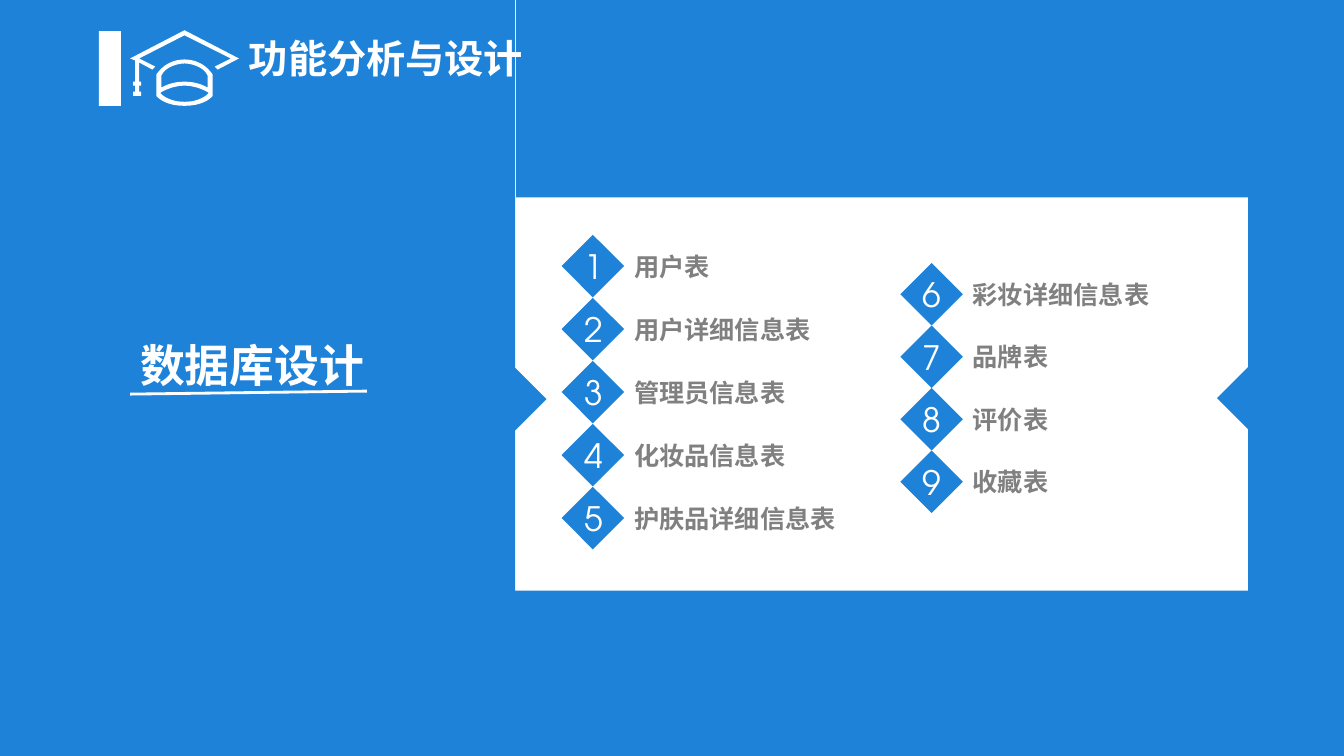
from lxml import etree
from pptx import Presentation
from pptx.dml.color import RGBColor
from pptx.enum.shapes import MSO_CONNECTOR, MSO_SHAPE
from pptx.enum.text import MSO_ANCHOR, PP_ALIGN
from pptx.oxml.ns import qn
from pptx.util import Inches, Pt

RECTANGLE, DIAMOND = MSO_SHAPE.RECTANGLE, MSO_SHAPE.DIAMOND
STRAIGHT = MSO_CONNECTOR.STRAIGHT
LEFT, CENTER, TOP = PP_ALIGN.LEFT, PP_ALIGN.CENTER, MSO_ANCHOR.TOP
COLORS = {"blue": "1E82D9", "white": "FFFFFF", "gray": "808080"}
HEADING_FONT, NUMBER_FONT = "Noto Sans CJK SC", "TeX Gyre Adventor"
WIDTH, HEIGHT = 13.33, 7.5

deck = Presentation()
deck.slide_width, deck.slide_height = Inches(WIDTH), Inches(HEIGHT)
page = deck.slides.add_slide(deck.slide_layouts[6])


def paint(shape, color):
    shape.fill.solid()
    shape.fill.fore_color.rgb = RGBColor.from_string(COLORS[color])
    shape.line.fill.background()
    shape.shadow.inherit = False


def add_text(shapes, area, text, size, color, font=HEADING_FONT, bold=True, align=LEFT):
    """Add a one-line text box; area is left, top, width, height in inches."""
    box = shapes.add_textbox(*map(Inches, area))
    frame = box.text_frame
    frame.text = text
    frame.word_wrap = bold
    frame.vertical_anchor = TOP
    para = frame.paragraphs[0]
    para.alignment = align
    span = para.runs[0]
    span.font.size, span.font.bold, span.font.name = Pt(size), bold, font
    span.font.color.rgb = RGBColor.from_string(COLORS[color])
    etree.SubElement(span.font._element, qn("a:ea"), typeface=font) if hasattr(
        span.font, "_element") else etree.SubElement(
        span._r.get_or_add_rPr(), qn("a:ea"), typeface=font)


# Blue frame around the white panel
panel_left, panel_right, panel_top, panel_bottom = 5.11, 12.38, 1.96, 5.86
frame_parts = [
    (panel_right, 0, WIDTH - panel_right, HEIGHT),
    (panel_left + 0.01, 0, panel_right - panel_left - 0.01, panel_top),
    (panel_left, panel_bottom, panel_right - panel_left, HEIGHT - panel_bottom),
    (0, 0, panel_left, HEIGHT),
]
for area in frame_parts:
    paint(page.shapes.add_shape(RECTANGLE, *map(Inches, area)), "blue")

# Notches at both sides of the panel
notch = 0.31
outlines = []
for edge, tip, middle in [(panel_left, notch, 3.96), (panel_right, -notch, 3.95)]:
    corners = [(edge, middle + notch), (edge, middle - notch), (edge + tip, middle)]
    outlines.append(([corners], "blue"))

# Graduation cap: each half contour is a chain of cubic curves, mirrored at the axis
axis = 1.83
half_contours = [
    [[(axis, 0.59), (1.71, 0.59), (1.61, 0.65), (1.55, 0.74)],
     [(1.55, 0.95), (1.55, 0.95), (1.62, 1.05), (axis, 1.05)]],
    [[(axis, 1.01), (1.69, 1.01), (1.61, 0.95), (1.59, 0.92)],
     [(1.59, 0.92), (1.66, 0.88), (1.74, 0.85), (axis, 0.85)]],
    [[(axis, 0.63), (axis, 0.63), (1.66, 0.63), (1.6, 0.75)],
     [(1.6, 0.87), (1.6, 0.87), (1.69, 0.81), (axis, 0.81)]],
]
steps = 10
cap = []
for curves in half_contours:
    half = []
    for curve in curves:
        for step in range(steps + 1):
            t = step / steps
            weights = ((1 - t) ** 3, 3 * t * (1 - t) ** 2, 3 * t * t * (1 - t), t ** 3)
            half.append(tuple(sum(w * point[i] for w, point in zip(weights, curve))
                              for i in (0, 1)))
    cap.append(half + [(2 * axis - x, y) for x, y in reversed(half)])
cap.append([
    (axis, 0.3), (1.29, 0.58), (1.34, 0.6), (1.34, 0.81), (1.32, 0.81), (1.32, 0.85),
    (1.34, 0.85), (1.34, 0.91), (1.32, 0.91), (1.32, 0.95), (1.4, 0.95), (1.4, 0.91),
    (1.38, 0.91), (1.38, 0.85), (1.4, 0.85), (1.4, 0.81), (1.38, 0.81), (1.38, 0.62),
    (1.51, 0.69), (1.54, 0.66), (1.38, 0.58), (axis, 0.35), (2.29, 0.58), (2.13, 0.66),
    (2.16, 0.69), (2.37, 0.58),
])
outlines.append((cap, "white"))

units = 1000
for contours, color in outlines:
    builder = None
    for contour in contours:
        points = [(x * units, y * units) for x, y in contour]
        if builder is None:
            builder = page.shapes.build_freeform(*points[0], scale=Inches(1) / units)
        else:
            builder.move_to(*points[0])
        builder.add_line_segments(points[1:], close=True)
    paint(builder.convert_to_shape(), color)

# Numbered list of tables in two columns
diamond = 0.62
columns = [
    (5.57, 2.33, 0.625, 1,
     ["用户表", "用户详细信息表", "管理员信息表", "化妆品信息表", "护肤品详细信息表"]),
    (8.93, 2.61, 0.62, 6, ["彩妆详细信息表", "品牌表", "评价表", "收藏表"]),
]
for left, first_top, pitch, first_number, names in columns:
    for row, name in enumerate(names):
        top = first_top + row * pitch
        item = page.shapes.add_group_shape().shapes
        paint(item.add_shape(DIAMOND, *map(Inches, (left, top, diamond, diamond))), "blue")
        add_text(item, (left + 0.12, top + 0.06, 0.39, 0.5), str(first_number + row),
                 24, "white", NUMBER_FONT, False, CENTER)
        add_text(item, (left + diamond, top + 0.11, 0.25 * len(name) + 0.22, 0.4),
                 name, 18, "gray")

# Page heading and section title
paint(page.shapes.add_shape(RECTANGLE, *map(Inches, (0.98, 0.31, 0.22, 0.74))), "white")
add_text(page.shapes, (2.37, 0.29, 4.52, 0.57), "功能分析与设计", 28, "white")
add_text(page.shapes, (1.29, 3.3, 2.62, 0.64), "数据库设计", 32, "white")
underline = page.shapes.add_connector(STRAIGHT, *map(Inches, (1.29, 3.91, 3.64, 3.88)))
underline.line.color.rgb = RGBColor.from_string(COLORS["white"])
underline.line.width = Pt(2)
etree.SubElement(underline._element.spPr, qn("a:effectLst"))

deck.save("out.pptx")
